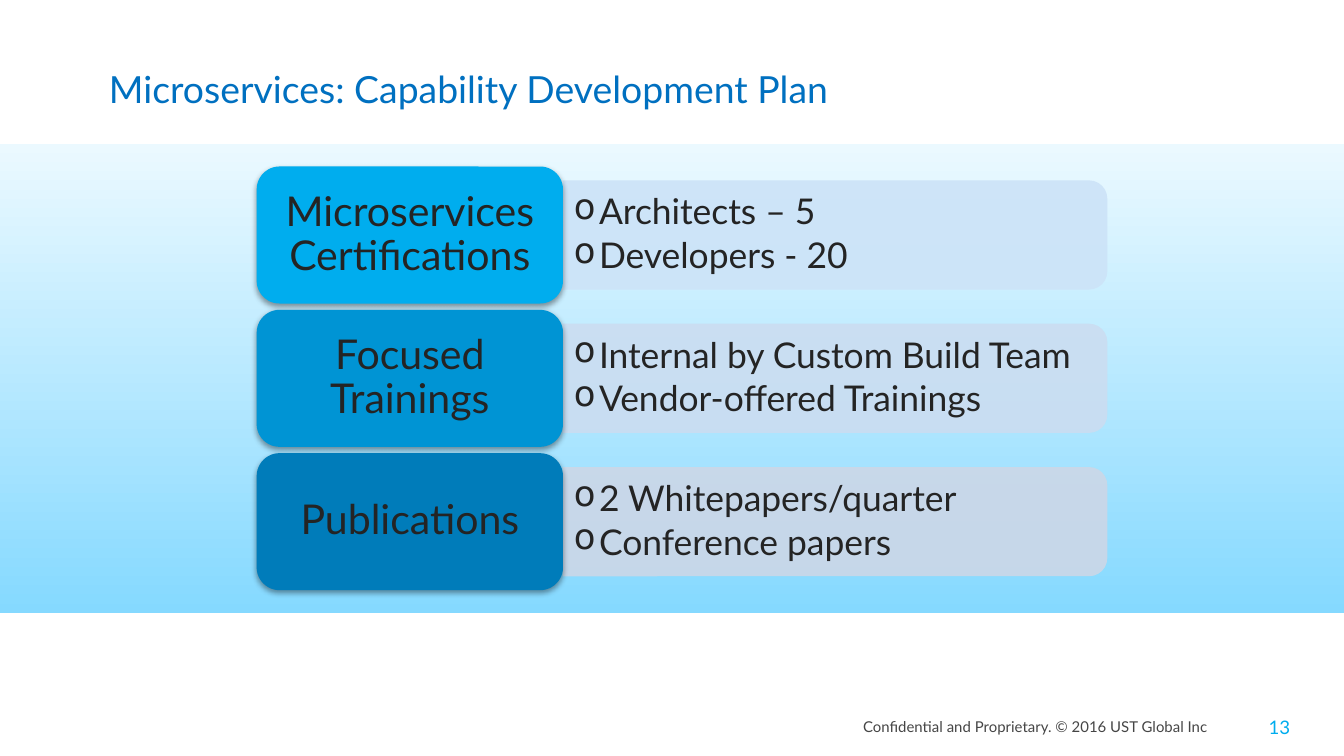
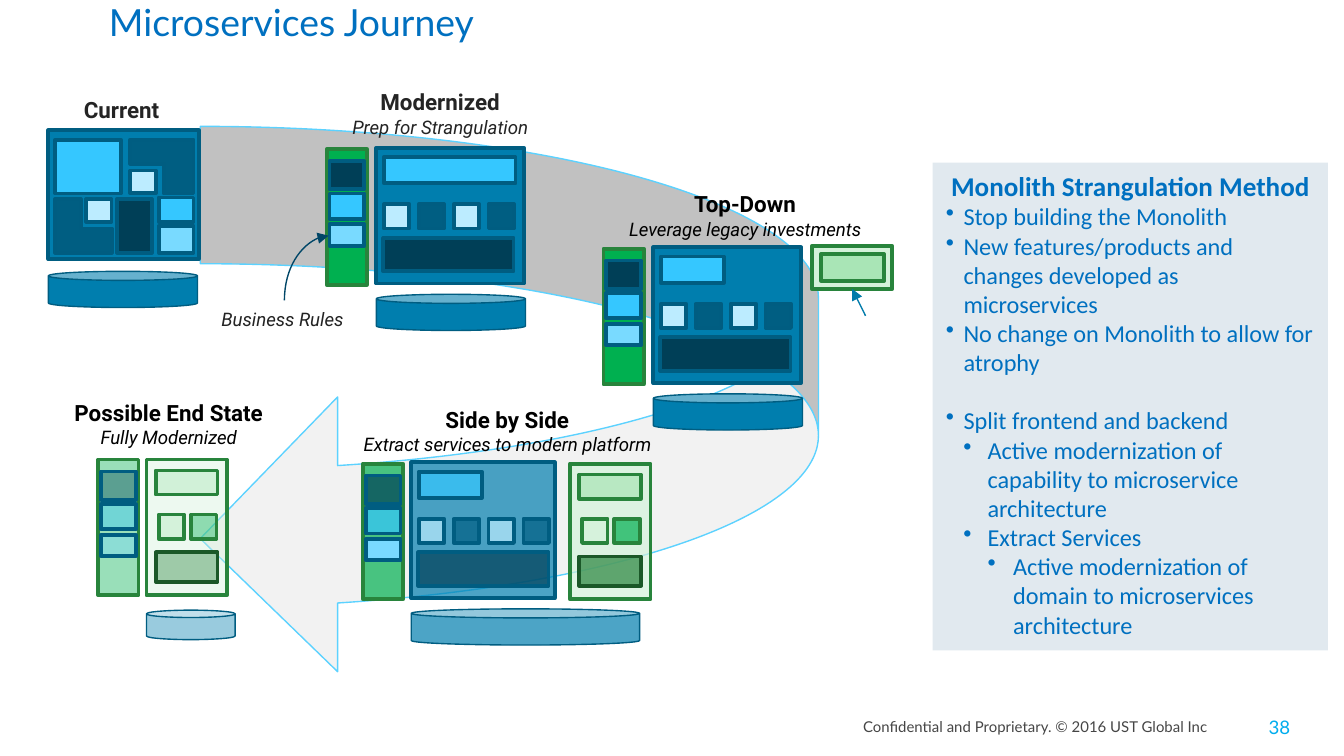
from dataclasses import dataclass

from lxml import etree
from pptx import Presentation
from pptx.dml.color import RGBColor
from pptx.enum import shapes, text
from pptx.oxml.ns import qn
from pptx.util import Pt

COLORS = {
    "white": "FFFFFF", "ink": "242424", "black": "000000", "gray": "454545",
    "title": "0070C0", "cyan": "00ADEE", "panel": "E1E9EF",
    "band_top": "EBF9FF", "band_bottom": "85D9FF",
    "plan1": "00ADEE", "plan2": "0094D4", "plan3": "007CBA",
    "detail1": "CCE3F8", "detail2": "CBDDF1", "detail3": "CCD7E7",
    "journey": "F2F2F2", "journey_edge": "5CD2FF",
    "legacy": "007EAE", "edge": "005D81", "deep": "005E82", "navy": "003F57",
    "bright": "35C7FF", "sky": "79DAFF", "pale": "BCECFF",
    "rules_arrow": "004667", "api_arrow": "007BAA",
    "green": "00B050", "green_edge": "28843C", "green_dark": "1B5828",
    "mint": "D4F2DA", "leaf": "A9E5B6",
}
SHAPE = shapes.MSO_SHAPE
LEFT, CENTER = text.PP_ALIGN.LEFT, text.PP_ALIGN.CENTER
TOP, MIDDLE = text.MSO_ANCHOR.TOP, text.MSO_ANCHOR.MIDDLE
DEFAULT_INSETS = (7.2, 3.6, 7.2, 3.6)


def rgb(name):
    return RGBColor.from_string(COLORS[name])


def add_xml(parent, tag, **attributes):
    return etree.SubElement(parent, qn(tag), {k: str(v) for k, v in attributes.items()})


@dataclass
class Line:
    """One paragraph; indent is (left margin, hanging width)."""
    content: str
    size: float
    color: str = "ink"
    font: str = "Lato"
    bold: bool = False
    italic: bool = False
    align: object = CENTER
    level: int = 0
    indent: tuple = (0, 0)
    bullet: str = ""
    spacing: float = 1
    before: float = 0
    after: float = 0


class Deck:
    def __init__(self):
        self.prs = Presentation()
        self.prs.slide_width, self.prs.slide_height = Pt(720), Pt(405)
        self.slide = None

    def new_slide(self, title, top, width, number):
        self.slide = self.prs.slides.add_slide(self.prs.slide_layouts[5])
        heading = self.slide.shapes.title
        heading.left, heading.top = Pt(51.1), Pt(top)
        heading.width, heading.height = Pt(width), Pt(48.2)
        self.set_lines(heading.text_frame, [Line(title, 20, "title", align=LEFT)],
                       MIDDLE, (7.2, 3.6, 7.2, 0))
        self.text(453.6, 380.9, 202.3, 16.6, [Line(
            "Confidential and Proprietary. © 2016 UST Global Inc", 8, "gray")], wrap=False)
        self.text(655.9, 378.7, 59, 21.6, [Line(str(number), 10, "cyan")], MIDDLE)

    def set_lines(self, frame, lines, anchor=TOP, insets=DEFAULT_INSETS, wrap=True):
        frame.text = "\n".join(line.content for line in lines)
        frame.word_wrap = wrap
        frame.auto_size = text.MSO_AUTO_SIZE.NONE
        frame.vertical_anchor = anchor
        (frame.margin_left, frame.margin_top,
         frame.margin_right, frame.margin_bottom) = map(Pt, insets)
        for paragraph, line in zip(frame.paragraphs, lines):
            paragraph.alignment = line.align
            paragraph.level = line.level
            paragraph.line_spacing = line.spacing
            paragraph.space_before, paragraph.space_after = Pt(line.before), Pt(line.after)
            if line.bullet:
                margin, hang = line.indent
                properties = paragraph._p.get_or_add_pPr()
                properties.set("marL", str(Pt(margin)))
                properties.set("indent", str(-Pt(hang)))
                add_xml(properties, "a:buChar", char=line.bullet)
            for run in paragraph.runs:
                run.font.name, run.font.size = line.font, Pt(line.size)
                run.font.bold, run.font.italic = line.bold, line.italic
                run.font.color.rgb = rgb(line.color)

    def text(self, x, y, w, h, lines, anchor=TOP, insets=DEFAULT_INSETS, wrap=True):
        box = self.slide.shapes.add_textbox(Pt(x), Pt(y), Pt(w), Pt(h))
        self.set_lines(box.text_frame, lines, anchor, insets, wrap)

    def paint(self, shape, fill, edge=None, weight=2.0, alpha=100):
        shape.shadow.inherit = False
        shape.fill.solid()
        shape.fill.fore_color.rgb = rgb(fill)
        if alpha < 100:
            color = next(shape._element.spPr.iter(qn("a:srgbClr")))
            add_xml(color, "a:alpha", val=alpha * 1000)
        if edge:
            shape.line.color.rgb = rgb(edge)
            shape.line.width = Pt(weight)
        else:
            shape.line.fill.background()
        return shape

    def shape(self, kind, x, y, w, h, *paint, **options):
        shape = self.slide.shapes.add_shape(kind, Pt(x), Pt(y), Pt(w), Pt(h))
        return self.paint(shape, *paint, **options)

    def block(self, x, y, w, h, fill, edge="edge", alpha=100):
        self.shape(SHAPE.RECTANGLE, x, y, w, h, fill, edge, alpha=alpha)

    def database(self, x, y, w, h=19.4, alpha=100):
        self.shape(SHAPE.CAN, x, y, w, h, "legacy", "edge", 0.75, alpha)

    def outline(self, points, fill, edge):
        start, *rest = [(Pt(x), Pt(y)) for x, y in points]
        builder = self.slide.shapes.build_freeform(*start)
        builder.add_line_segments(rest, close=True)
        self.paint(builder.convert_to_shape(), fill, edge)

    def arrow(self, kind, start, end, color):
        arrow = self.slide.shapes.add_connector(kind, *map(Pt, start + end))
        arrow.line.color.rgb = rgb(color)
        arrow.line.width = Pt(0.75)
        add_xml(arrow.line._get_or_add_ln(), "a:tailEnd", type="triangle")
        add_xml(arrow._element.spPr, "a:effectLst")
        return arrow

    def gradient_band(self, y, h):
        band = self.shape(SHAPE.RECTANGLE, 0, y, 720, h, "band_top")
        band.fill.gradient()
        band.fill.gradient_angle = 270
        for stop, color in zip(band.fill.gradient_stops, ("band_top", "band_bottom")):
            stop.color.rgb = rgb(color)

    def raise_card(self, card):
        """Give the card a soft shadow straight below it."""
        effects = card._element.spPr.find(qn("a:effectLst"))
        shadow = add_xml(effects, "a:outerShdw", blurRad=Pt(3.1), dist=Pt(1.6),
                         dir=5400000, rotWithShape=0)
        add_xml(add_xml(shadow, "a:srgbClr", val=COLORS["black"]), "a:alpha", val=38000)

    def caption(self, x, y, w, h, stage, note="", color="black"):
        lines = [Line(stage, 12, color, "Roboto", bold=True)]
        if note:
            lines.append(Line(note, 10, color, "Roboto", italic=True))
        self.text(x, y, w, h, lines, wrap=False)

    def rules_column(self, x, y, alpha=100, last_alpha=100):
        self.block(x, y, 21.6, 72.7, "green", "green_edge", alpha)
        for dy, h, fill, cell_alpha in ((6.4, 15.1, "navy", alpha), (23.7, 13.7, "bright", alpha),
                                        (40.3, 11.5, "sky", last_alpha)):
            self.block(x + 1.5, y + dy, 18.7, h, fill, alpha=cell_alpha)

    def monolith(self, x, y, frontend_width, width=79.2, store_width=79.9, alpha=100):
        self.block(x, y, width, 72.7, "legacy", alpha=alpha)
        self.block(x + 4, y + 5, frontend_width, 14, "bright", alpha=alpha)
        for i, fill in enumerate(("pale", "deep") * 2):
            self.block(x + 4 + 18.7 * i, y + 30.2, 13.7, 13, fill, alpha=alpha)
        self.block(x + 3.8, y + 48.2, 69.8, 18, "navy", alpha=alpha)
        self.database(x, y + 78.5, store_width, alpha=alpha)

    def modern_app(self, x, y, alpha, service_alpha):
        self.block(x, y, 43.2, 72.7, "mint", "green_edge", alpha)
        self.block(x + 5, y + 5.8, 33.1, 13, "leaf", "green_edge", alpha)
        self.block(x + 5, y + 49.7, 33.1, 15.8, "green_edge", "green_dark", alpha)
        self.block(x + 6.5, y + 29.5, 13.7, 13, "mint", "green_edge", service_alpha)
        self.block(x + 23.8, y + 29.5, 13.7, 13, "green", "green_edge", alpha)


def capability_plan(deck):
    deck.new_slide("Microservices: Capability Development Plan", 21.6, 650.9, 13)
    deck.gradient_band(77, 251.3)
    plan = [
        ("Microservices Certifications", "Architects – 5", "Developers - 20"),
        ("Focused Trainings", "Internal by Custom Build Team", "Vendor-offered Trainings"),
        ("Publications", "2 Whitepapers/quarter", "Conference papers"),
    ]
    thickness, length = 58.5, 291.6
    for i, (area, *goals) in enumerate(plan):
        top = 89.2 + 76.8 * i
        middle = top + 36.7
        detail = deck.shape(SHAPE.ROUND_2_SAME_RECTANGLE,
                            301.6 + (length - thickness) / 2, middle - length / 2,
                            thickness, length, f"detail{i + 1}", alpha=90)
        detail.rotation = 90
        deck.text(301.6, middle - 26.4, 288.7, 52.8,
                  [Line(goal, 19, align=LEFT, level=1, indent=(13.5, 13.5), bullet="o",
                        spacing=0.9, after=2.85) for goal in goals],
                  MIDDLE, (5.8, 2.9, 5.8, 2.9))
        card = deck.shape(SHAPE.ROUNDED_RECTANGLE, 137.5, top, 164.1, 73.4, f"plan{i + 1}")
        deck.raise_card(card)
        deck.set_lines(card.text_frame, [Line(area, 22, spacing=0.9)],
                       MIDDLE, (6.5, 3.6, 6.5, 3.6))


def strangulation_panel(deck):
    near, middle, far = (9.4, 9.4), (22.3, 13), (36, 13.7)
    steps = [
        (1, near, 0, "Stop building the Monolith"),
        (2, near, 0, "New features/products and changes developed as microservices"),
        (2, near, 0, "No change on Monolith to allow for atrophy"),
        (1, near, 15.6, "Split frontend and backend"),
        (2, middle, 0, "Active modernization of capability to microservice architecture"),
        (1, middle, 0, "Extract Services"),
        (2, far, 0, "Active modernization of domain to microservices architecture"),
    ]
    lines = [Line("Monolith Strangulation Method", 14.5, "title", "Calibri", bold=True)]
    lines += [Line(step, 13, "title", "Calibri", align=LEFT, level=level,
                   indent=indent, bullet="•", before=before)
              for level, indent, before, step in steps]
    panel = deck.shape(SHAPE.RECTANGLE, 499.7, 87.1, 211.7, 261.4, "panel")
    deck.set_lines(panel.text_frame, lines)


def current_monolith(deck):
    modules = [
        (25.9, 69.8, 80.6, 69.1, "legacy"),
        (29.5, 74.9, 35.3, 28.8, "bright"),
        (85, 121, 18.7, 14.4, "sky"),
        (69.8, 91.4, 13.7, 12.2, "pale"),
        (46.1, 106.6, 13.7, 12.2, "pale"),
        (62.6, 106.6, 18.7, 28.8, "navy"),
        (85, 105.8, 18.7, 13, "bright"),
    ]
    for module in modules:
        deck.block(*module)
    deck.outline([(87.8, 74.9), (103.7, 74.9), (103.7, 103.7), (87.8, 103.7),
                  (87.8, 87.8), (69.8, 87.8), (69.8, 74.9)], "deep", "edge")
    deck.outline([(43.2, 135.4), (29.5, 135.4), (29.5, 106.6), (43.2, 106.6),
                  (43.2, 122.4), (59.8, 122.4), (59.8, 135.4)], "deep", "edge")
    deck.database(25.9, 145.4, 79.9)
    deck.caption(36.7, 48.2, 56.9, 20.2, "Current", color="ink")


def journey(deck):
    deck.new_slide("Microservices Journey", -14.4, 618.5, 38)
    strangulation_panel(deck)
    deck.shape(SHAPE.CURVED_LEFT_ARROW, 107.3, 67.7, 331.2, 294.5,
               "journey", "journey_edge", 0.75)
    current_monolith(deck)

    deck.rules_column(175, 79.9)
    deck.monolith(201.6, 79.2, 70.6)
    deck.caption(180.7, 43.9, 110.2, 31.7, "Modernized", "Prep for Strangulation", "ink")
    deck.text(111.6, 161.3, 82.1, 18,
              [Line("Business Rules", 10, font="Roboto", italic=True, align=LEFT)])
    rules_arrow = deck.arrow(shapes.MSO_CONNECTOR.CURVE, (181.6, 155.5), (146.9, 131.8),
                             "rules_arrow")
    properties = rules_arrow._element.spPr
    properties.find(qn("a:xfrm")).set("rot", "5400000")
    properties.find(qn("a:prstGeom")).set("prst", "curvedConnector2")

    deck.caption(328.3, 98.6, 141.8, 31.7, "Top-Down", "Leverage legacy investments")
    deck.rules_column(323.3, 133.2)
    deck.monolith(350, 132.5, 33.8)
    deck.block(434.9, 131.8, 43.2, 23, "mint", "green_edge")
    deck.block(439.9, 136.1, 33.8, 14.4, "leaf", "green_edge")
    deck.arrow(shapes.MSO_CONNECTOR.STRAIGHT, (463.7, 169.2), (456.5, 154.8), "api_arrow")

    deck.rules_column(194.4, 248.4, alpha=70)
    deck.monolith(220.3, 247.7, 33.8, width=77, store_width=122.4, alpha=70)
    deck.caption(187.2, 213.8, 169.2, 31.7, "Side by Side",
                 "Extract services to modern platform")
    deck.modern_app(305.3, 248.4, alpha=70, service_alpha=70)

    deck.rules_column(52.6, 246.2, alpha=40, last_alpha=40)
    deck.database(78.5, 326.9, 47.5, 15.8, alpha=40)
    deck.modern_app(78.5, 246.2, alpha=40, service_alpha=100)
    deck.caption(29.5, 210.2, 121.7, 33.1, "Possible End State", "Fully Modernized")


def main():
    deck = Deck()
    capability_plan(deck)
    journey(deck)
    deck.prs.save("out.pptx")


if __name__ == "__main__":
    main()
